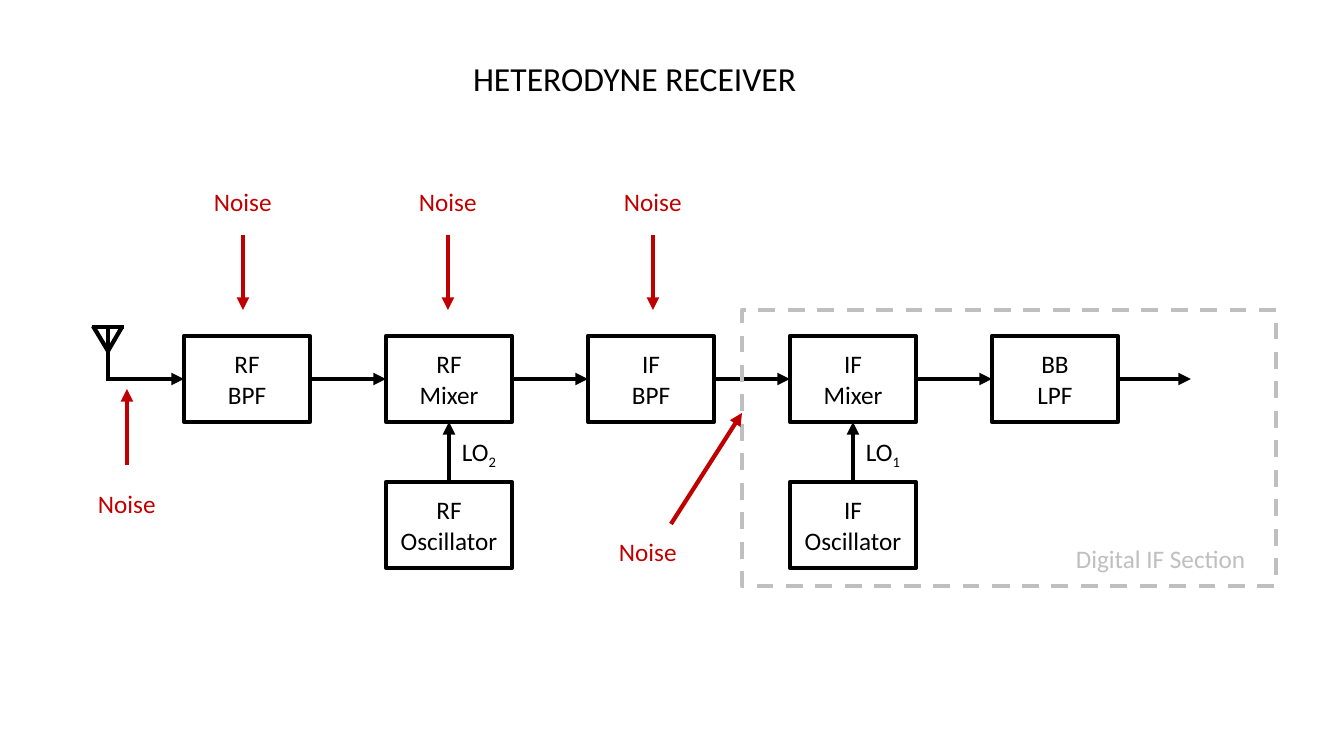
from lxml.etree import SubElement
from pptx import Presentation
from pptx.dml.color import RGBColor
from pptx.enum.dml import MSO_LINE
from pptx.enum.shapes import MSO_CONNECTOR, MSO_SHAPE
from pptx.enum.text import MSO_ANCHOR, MSO_AUTO_SIZE, PP_ALIGN
from pptx.oxml.ns import qn
from pptx.util import Pt

BLACK = RGBColor(0x00, 0x00, 0x00)
RED = RGBColor(0xC0, 0x00, 0x00)
GREY = RGBColor(0xBF, 0xBF, 0xBF)
TOP, LEFT, BOTTOM, RIGHT = range(4)


class Diagram:
    """Style and current slide; every length is in whole px."""
    FONT = "Calibri"
    SIZE = 18
    STROKE = Pt(3)
    EMU_PER_PX = 914400 / 100.8

    def __init__(self, slide):
        self.slide = slide

    @classmethod
    def emu(cls, *lengths):
        return [round(length * cls.EMU_PER_PX) for length in lengths]

    def add_run(self, paragraph, text, color, size=SIZE):
        run = paragraph.add_run()
        run.text = text
        run.font.name = self.FONT
        run.font.size = Pt(size)
        run.font.color.rgb = color
        return run

    def title(self, text, x, y, w, h):
        heading = self.slide.shapes.title
        heading.left, heading.top, heading.width, heading.height = self.emu(x, y, w, h)
        frame = heading.text_frame
        frame.word_wrap = False
        frame.auto_size = MSO_AUTO_SIZE.NONE
        frame.vertical_anchor = MSO_ANCHOR.TOP
        frame.paragraphs[0].alignment = PP_ALIGN.LEFT
        self.add_run(frame.paragraphs[0], text, BLACK, 24)

    def label(self, text, x, y, w, h=40, color=BLACK, subscript=""):
        frame = self.slide.shapes.add_textbox(*self.emu(x, y, w, h)).text_frame
        frame.word_wrap = False
        paragraph = frame.paragraphs[0]
        self.add_run(paragraph, text, color)
        if subscript:
            run = self.add_run(paragraph, subscript, color)
            run.font._element.set("baseline", "-25000")

    def box(self, x, y, w, h, color=BLACK, dash=None):
        outline = self.slide.shapes.add_shape(MSO_SHAPE.RECTANGLE, *self.emu(x, y, w, h))
        outline.shadow.inherit = False
        outline.fill.background()
        outline.line.color.rgb = color
        outline.line.width = self.STROKE
        if dash:
            outline.line.dash_style = dash
        return outline

    def block(self, first, second, x, y, w, h):
        stage = self.box(x, y, w, h)
        frame = stage.text_frame
        frame.word_wrap = True
        frame.vertical_anchor = MSO_ANCHOR.MIDDLE
        paragraph = frame.paragraphs[0]
        paragraph.alignment = PP_ALIGN.CENTER
        self.add_run(paragraph, first, BLACK)
        paragraph.add_line_break()
        self.add_run(paragraph, second, BLACK)
        return stage

    def line(self, start, end, color=BLACK, arrow=False, begin_at=None, end_at=None):
        wire = self.slide.shapes.add_connector(
            MSO_CONNECTOR.STRAIGHT, *self.emu(*start, *end))
        wire.line.color.rgb = color
        wire.line.width = self.STROKE
        if arrow:
            SubElement(wire.line._get_or_add_ln(), qn("a:tailEnd"), type="triangle")
        SubElement(wire._element.spPr, qn("a:effectLst"))
        if begin_at:
            wire.begin_connect(*begin_at)
        if end_at:
            wire.end_connect(*end_at)


def main():
    deck = Presentation()
    deck.slide_width, deck.slide_height = Diagram.emu(1344, 756)
    diagram = Diagram(deck.slides.add_slide(deck.slide_layouts[5]))
    diagram.title("HETERODYNE RECEIVER", 463, 53, 347, 50)

    # Signal chain
    width, height, chain_top, oscillator_top = 126, 86, 336, 482
    signal_y = chain_top + height // 2
    stage_names = [("RF", "BPF"), ("RF", "Mixer"), ("IF", "BPF"),
                   ("IF", "Mixer"), ("BB", "LPF")]
    stage_lefts = [184 + 202 * i for i in range(len(stage_names))]
    stages = [diagram.block(*names, x, chain_top, width, height)
              for names, x in zip(stage_names, stage_lefts)]
    for i, x in enumerate(stage_lefts[1:]):
        diagram.line((x - 76, signal_y), (x, signal_y), arrow=True,
                     begin_at=(stages[i], RIGHT), end_at=(stages[i + 1], LEFT))

    # Antenna and its feed
    for start, end in [((108, 326), (108, signal_y)), ((93, 326), (108, 351)),
                       ((122, 327), (108, 351)), ((92, 327), (124, 327))]:
        diagram.line(start, end)
    diagram.line((106, signal_y), (184, signal_y), arrow=True, end_at=(stages[0], LEFT))

    # Baseband output
    output_x = stage_lefts[-1] + width
    diagram.line((output_x, signal_y), (1191, signal_y), arrow=True,
                 begin_at=(stages[-1], RIGHT))

    # Local oscillators under the mixers
    for i, band, number in [(1, "RF", "2"), (3, "IF", "1")]:
        x = stage_lefts[i]
        oscillator = diagram.block(band, "Oscillator", x, oscillator_top, width, height)
        center = x + width // 2
        diagram.line((center, oscillator_top), (center, chain_top + height), arrow=True,
                     begin_at=(oscillator, TOP), end_at=(stages[i], BOTTOM))
        diagram.label("LO", x + 66, 431, 56, subscript=number)

    # Digital section
    diagram.box(742, 310, 534, 276, GREY, MSO_LINE.DASH)
    diagram.label("Digital IF Section", 1066, 538, 192, color=GREY)

    # Noise sources: arrow start, arrow end, label corner
    noise_sources = [((x, 235), (x, 310), (x - 39, 181)) for x in (243, 448, 653)]
    noise_sources += [((127, 465), (127, 389), (88, 483)),
                      ((671, 524), (742, 413), (609, 531))]
    for start, end, corner in noise_sources:
        diagram.line(start, end, RED, arrow=True)
        diagram.label("Noise", *corner, 79, color=RED)

    deck.save("out.pptx")


if __name__ == "__main__":
    main()
